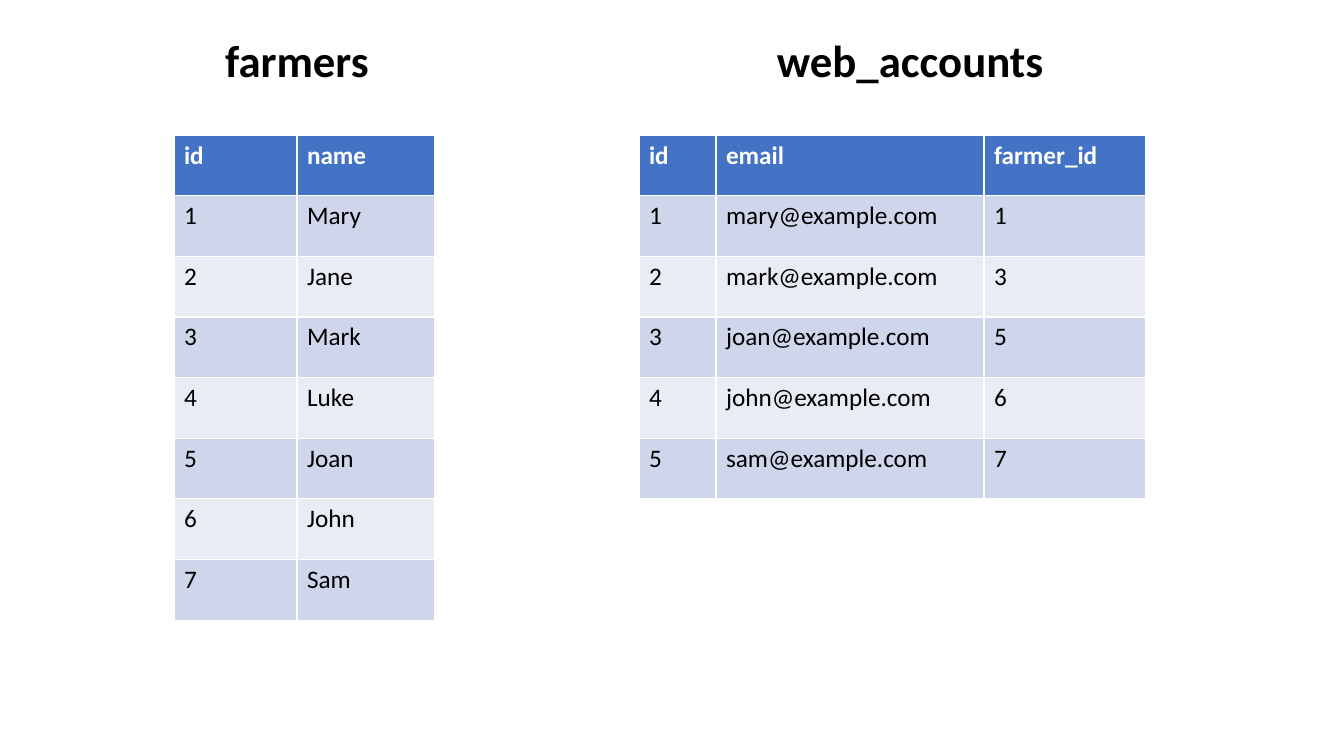
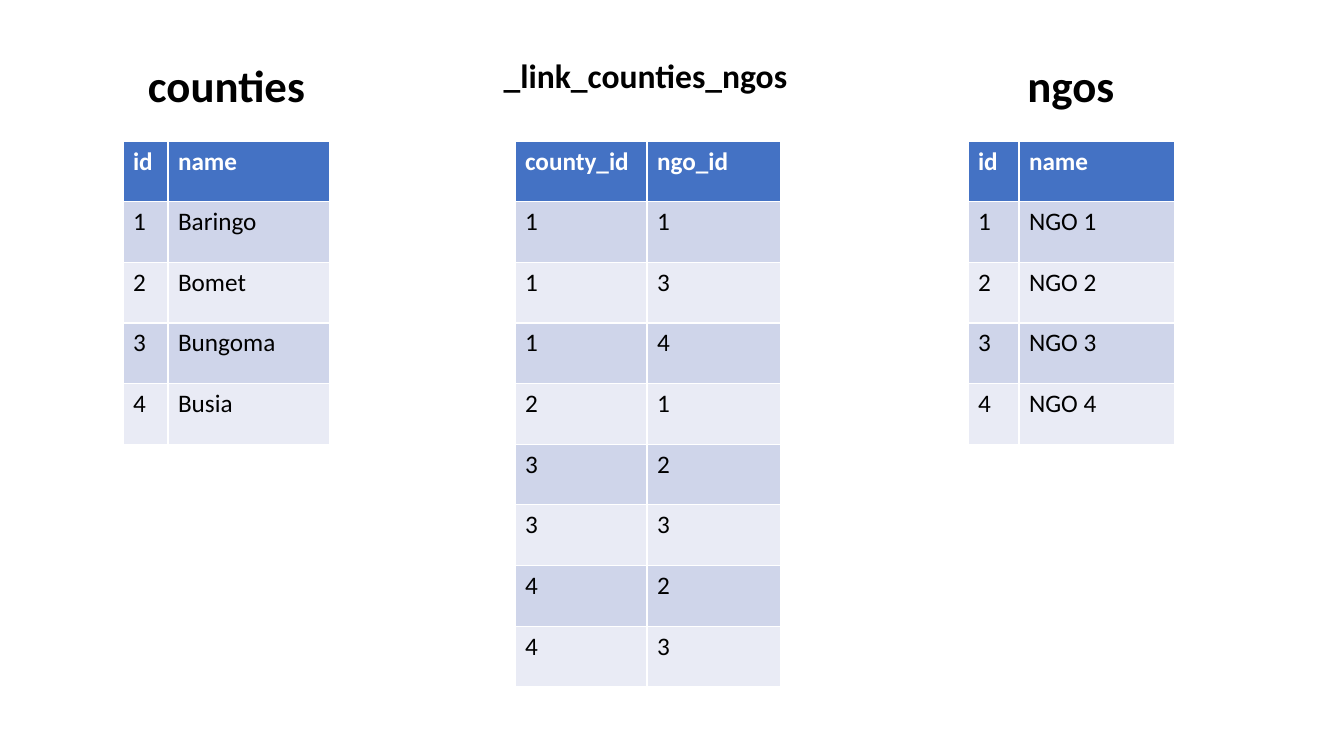
from dataclasses import dataclass

from pptx import Presentation
from pptx import util as u
from pptx.dml.color import RGBColor
from pptx.enum import text
from pptx.slide import Slide
from pptx.text.text import TextFrame

EMU_PER_INCH = 914400
PX_PER_INCH = 100.8
FONT = "Calibri"
WHITE = RGBColor(0xFF, 0xFF, 0xFF)
BLACK = RGBColor(0x00, 0x00, 0x00)
HEADER_BLUE = RGBColor(0x44, 0x72, 0xC4)
BANDS = (RGBColor(0xCF, 0xD5, 0xEA), RGBColor(0xE9, 0xEB, 0xF5))
CELL_PT = 18
TITLE_ONLY = 5


def px(n: float) -> u.Emu:
    """Turn pixels into EMU."""
    return u.Emu(round(n * EMU_PER_INCH / PX_PER_INCH))


ROW_HEIGHT = px(182 / 3)


@dataclass(frozen=True)
class Heading:
    """Name above a table: its box in pixels and its type size."""
    label: str
    left: int
    top: int
    width: int
    height: int = 65
    size: int = 32
    align: text.PP_ALIGN = text.PP_ALIGN.CENTER


@dataclass(frozen=True)
class DataTable:
    """Database table: heading, corner, column widths and rows, header first."""
    heading: Heading
    left: int
    top: int
    widths: tuple[int, ...]
    rows: tuple[tuple[str, ...], ...]


def style_text(tf: TextFrame, size: int, color: RGBColor, bold: bool) -> None:
    """Format every run of a text frame."""
    for p in tf.paragraphs:
        for r in p.runs:
            r.font.name = FONT
            r.font.size = u.Pt(size)
            r.font.bold = bold
            r.font.color.rgb = color


def draw_heading(slide: Slide, heading: Heading, is_title: bool) -> None:
    """Write a table name, in the title placeholder or in a text box."""
    box = [px(n) for n in (heading.left, heading.top, heading.width, heading.height)]
    if is_title:
        sp = slide.shapes.title
        sp.left, sp.top, sp.width, sp.height = box
    else:
        sp = slide.shapes.add_textbox(*box)
    tf = sp.text_frame
    tf.text = heading.label
    tf.word_wrap = False
    tf.auto_size = text.MSO_AUTO_SIZE.SHAPE_TO_FIT_TEXT
    tf.vertical_anchor = text.MSO_ANCHOR.TOP
    tf.paragraphs[0].alignment = heading.align
    style_text(tf, heading.size, BLACK, True)


def draw_table(slide: Slide, data: DataTable) -> None:
    """Draw a banded table with a blue header row."""
    table = slide.shapes.add_table(
        len(data.rows), len(data.widths), px(data.left), px(data.top),
        px(sum(data.widths)), ROW_HEIGHT * len(data.rows)).table
    for column, width in zip(table.columns, data.widths):
        column.width = px(width)
    for i, values in enumerate(data.rows):
        is_header = i == 0
        table.rows[i].height = ROW_HEIGHT
        for cell, value in zip(table.rows[i].cells, values):
            cell.text_frame.text = value
            cell.fill.solid()
            cell.fill.fore_color.rgb = HEADER_BLUE if is_header else BANDS[(i - 1) % 2]
            style_text(cell.text_frame, CELL_PT, WHITE if is_header else BLACK, is_header)


def numbered(header: tuple[str, ...], *records: tuple[str, ...]) -> tuple[tuple[str, ...], ...]:
    """Put a running id in front of each record."""
    body = ((str(n), *record) for n, record in enumerate(records, 1))
    return (("id", *header), *body)


FARMERS = DataTable(
    Heading("farmers", 215, 28, 165, align=text.PP_ALIGN.LEFT),
    174, 135, (123, 138),
    numbered(("name",), ("Mary",), ("Jane",), ("Mark",), ("Luke",),
             ("Joan",), ("John",), ("Sam",)))
WEB_ACCOUNTS = DataTable(
    Heading("web_accounts", 767, 28, 289, align=text.PP_ALIGN.LEFT),
    639, 135, (77, 268, 162),
    numbered(("email", "farmer_id"), ("mary@example.com", "1"),
             ("mark@example.com", "3"), ("joan@example.com", "5"),
             ("john@example.com", "6"), ("sam@example.com", "7")))
COUNTIES = DataTable(
    Heading("counties", 137, 53, 179),
    123, 141, (45, 162),
    numbered(("name",), ("Baringo",), ("Bomet",), ("Bungoma",), ("Busia",)))
LINKS = DataTable(
    Heading("_link_counties_ngos", 492, 50, 307, 50, 24),
    515, 141, (132, 134),
    (("county_id", "ngo_id"), ("1", "1"), ("1", "3"), ("1", "4"), ("2", "1"),
     ("3", "2"), ("3", "3"), ("4", "2"), ("4", "3")))
NGOS = DataTable(
    Heading("ngos", 1010, 53, 122),
    968, 141, (51, 156),
    numbered(("name",), ("NGO 1",), ("NGO 2",), ("NGO 3",), ("NGO 4",)))

SLIDES = ((FARMERS, WEB_ACCOUNTS), (COUNTIES, LINKS, NGOS))


def main() -> None:
    """Build the slides and save the file."""
    prs = Presentation()
    prs.slide_width, prs.slide_height = px(1344), px(756)
    for tables in SLIDES:
        slide = prs.slides.add_slide(prs.slide_layouts[TITLE_ONLY])
        for i, data in enumerate(tables):
            draw_heading(slide, data.heading, is_title=i == 0)
            draw_table(slide, data)
    prs.save("out.pptx")


main()
